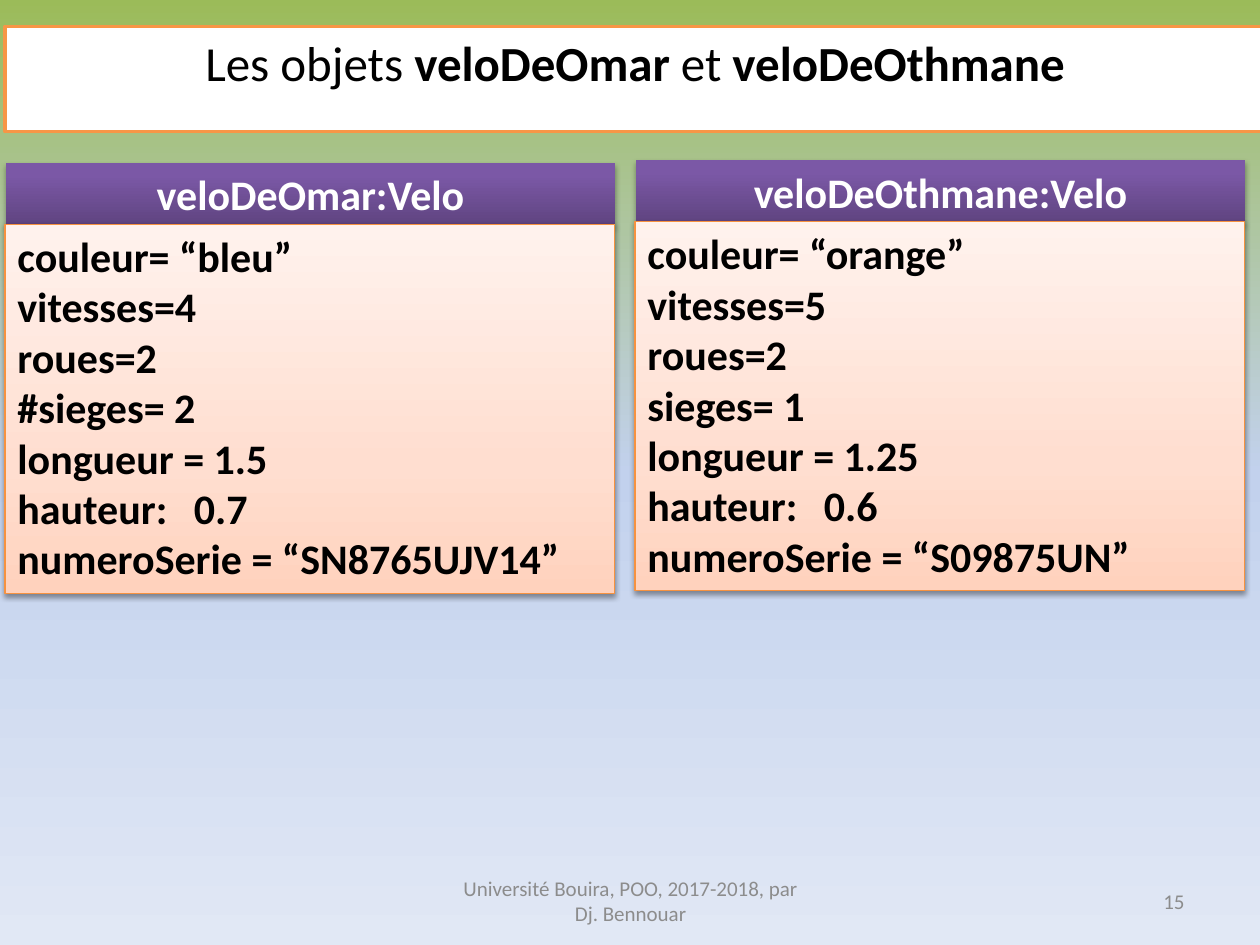
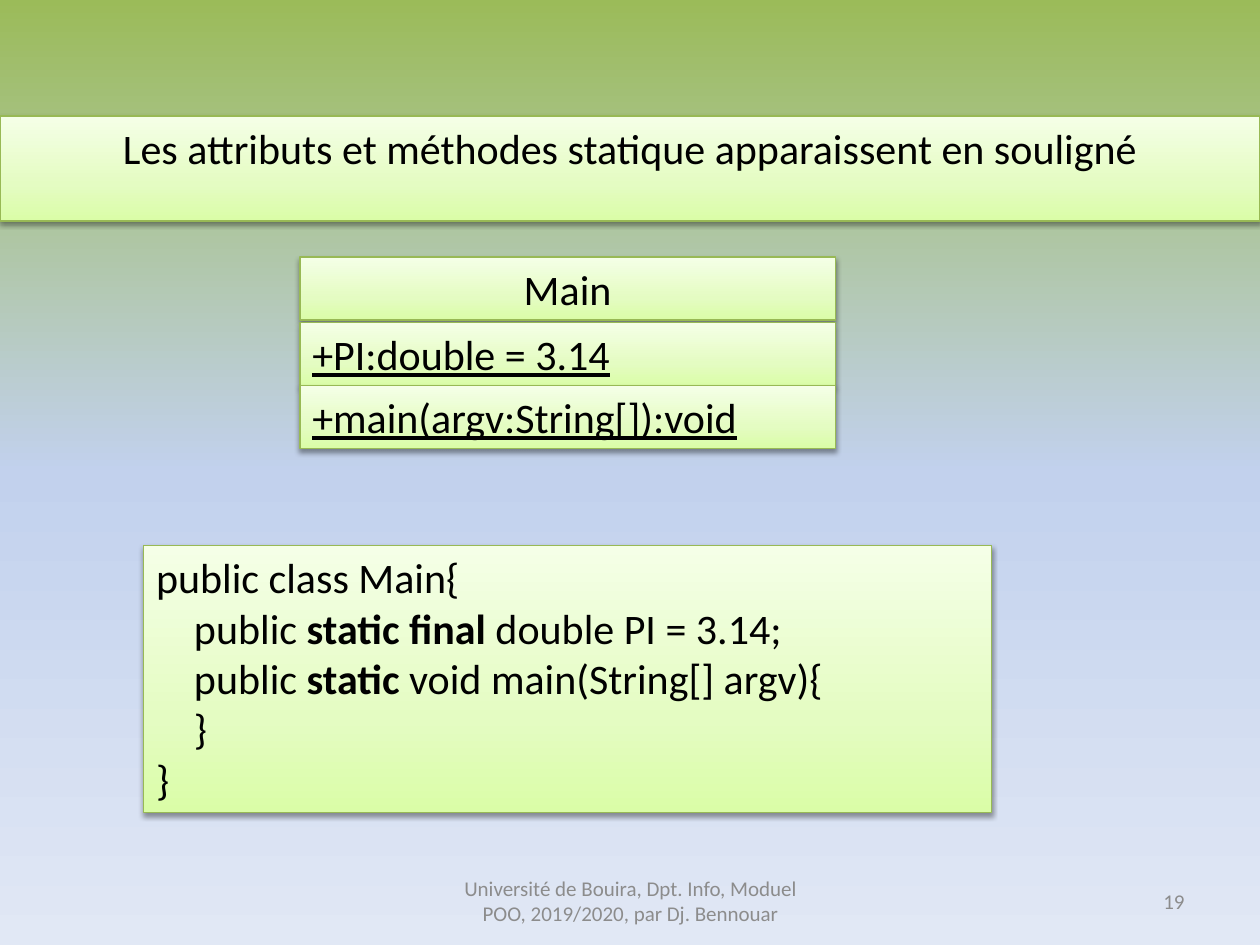
from dataclasses import dataclass
from typing import NamedTuple, Optional

from lxml.etree import SubElement
from pptx import Presentation
from pptx.dml.color import RGBColor
from pptx.enum.shapes import MSO_SHAPE as Shape
from pptx.enum.text import MSO_ANCHOR as Anchor, MSO_AUTO_SIZE as AutoSize, PP_ALIGN as Align
from pptx.oxml.ns import qn
from pptx.util import Inches, Pt

COLORS = {
    "black": "000000", "white": "FFFFFF", "footer": "8C8C8C",
    "title_line": "F79646", "orange_line": "F69240", "green_line": "98B955",
}
BACKGROUND = ((0, "9BBB59"), (50, "C2D1ED"), (100, "E1E8F5"))
PURPLE = ((0, "5F4480"), (80, "7B58A6"), (100, "7C57A8"))
PEACH = ((0, "FFD2BD"), (35, "FFDED0"), (100, "FFF2ED"))
LIME = ((0, "DAFDA7"), (35, "E4FCC2"), (100, "F5FFE7"))
DOWN, UP = 270, 90
FONT = "Calibri"
WIDTH, HEIGHT = Inches(10), Inches(7.5)
COL, ROW = WIDTH / 100, HEIGHT / 75


class Box(NamedTuple):
    """A place on the grid of 100 columns and 75 rows."""
    col: float
    row: float
    cols: float
    rows: float


class Shadow(NamedTuple):
    """A downward shadow with opacity in percent and lengths in points."""
    opacity: int
    blur: float
    distance: float


@dataclass(frozen=True)
class Look:
    """Fill, outline and shadow of a panel."""
    stops: tuple = ()
    line: Optional[str] = None
    line_width: float = 0.75
    shadow: Optional[Shadow] = Shadow(38, 3.1, 1.6)


@dataclass(frozen=True)
class Type:
    """Character and paragraph format of a text."""
    size: float = 24
    color: str = "black"
    align: Align = Align.LEFT
    bold: bool = False
    underline: bool = False


@dataclass(frozen=True)
class VeloObject:
    """An object diagram with its top left corner and attribute values."""
    col: float
    row: float
    name: str
    attributes: tuple


FRAMED = Look(line="title_line", line_width=2, shadow=None)
HEADER = Look(PURPLE, shadow=Shadow(35, 3.1, 1.8))
BODY = Look(PEACH, "orange_line")
GREEN = Look(LIME, "green_line")
CENTERED = Type(align=Align.CENTER)
TITLE = Type(28, align=Align.CENTER)
HEADER_TYPE = Type(color="white", align=Align.CENTER, bold=True)
BODY_TYPE = Type(bold=True)
STATIC = Type(underline=True)
FOOTER_TYPE = Type(12, "footer", Align.CENTER)
NUMBER_TYPE = Type(12, "footer", Align.RIGHT)
FOOTER, NUMBER = Box(34.2, 69.5, 31.7, 4), Box(71.7, 69.5, 23.3, 4)

VELOS = (
    VeloObject(0.4, 12.9, "veloDeOmar:Velo", (
        "couleur= “bleu”", "vitesses=4", "roues=2", "#sieges= 2",
        "longueur = 1.5", "hauteur:\t0.7", "numeroSerie = “SN8765UJV14”")),
    VeloObject(50.4, 12.7, "veloDeOthmane:Velo", (
        "couleur= “orange”", "vitesses=5", "roues=2", "sieges= 1",
        "longueur = 1.25", "hauteur:\t0.6", "numeroSerie = “S09875UN”")),
)
MAIN_CLASS = (
    (20.4, "Main", CENTERED),
    (25.6, "+PI:double = 3.14", STATIC),
    (30.6, "+main(argv:String[]):void", STATIC),
)
MAIN_CODE = (
    "public class Main{",
    "    public *static final* double PI = 3.14;",
    "    public *static *void main(String[] argv){",
    "    }",
    "}",
)


def rgb(name: str) -> RGBColor:
    """Return a named colour."""
    return RGBColor.from_string(COLORS[name])


def place(box: Box) -> tuple:
    """Turn a grid box into left, top, width and height."""
    return (int(box.col * COL), int(box.row * ROW), int(box.cols * COL), int(box.rows * ROW))


def paint(owner, fill, stops: tuple, angle: int) -> None:
    """Give a fill its gradient stops and angle."""
    fill.gradient()
    fill.gradient_angle = angle
    gs_list = owner.find(f".//{qn('a:gradFill')}/{qn('a:gsLst')}")
    gs_list.clear()
    for percent, color in stops:
        gs = SubElement(gs_list, qn("a:gs"), pos=str(percent * 1000))
        SubElement(gs, qn("a:srgbClr"), val=color)


def style(s, look: Look) -> None:
    """Apply a look to a shape."""
    if look.stops:
        paint(s.element, s.fill, look.stops, UP)
    else:
        s.fill.solid()
        s.fill.fore_color.rgb = rgb("white")
    if look.line:
        s.line.color.rgb = rgb(look.line)
        s.line.width = Pt(look.line_width)
    else:
        s.line.fill.background()
    s.shadow.inherit = False
    if look.shadow:
        effects = s.element.spPr.find(qn("a:effectLst"))
        outer = SubElement(effects, qn("a:outerShdw"), blurRad=str(Pt(look.shadow.blur)),
                           dist=str(Pt(look.shadow.distance)), dir="5400000", rotWithShape="0")
        color = SubElement(outer, qn("a:srgbClr"), val=COLORS["black"])
        SubElement(color, qn("a:alpha"), val=str(look.shadow.opacity * 1000))


def write(s, lines: tuple, kind: Type, anchor: Anchor = Anchor.TOP) -> None:
    """Write one paragraph a line, with asterisks around bold words."""
    tf = s.text_frame
    tf.word_wrap = True
    tf.vertical_anchor = anchor
    for i, line in enumerate(lines):
        p = tf.add_paragraph() if i else tf.paragraphs[0]
        p.alignment = kind.align
        if "\t" in line:
            tabs = SubElement(p._p.get_or_add_pPr(), qn("a:tabLst"))
            SubElement(tabs, qn("a:tab"), pos=str(int(14 * COL)), algn="l")
        p.font.name = FONT
        p.font.size = Pt(kind.size)
        p.font.color.rgb = rgb(kind.color)
        p.font.bold = kind.bold
        p.font.underline = kind.underline
        for j, words in enumerate(line.split("*")):
            if words:
                r = p.add_run()
                r.text = words
                if j % 2:
                    r.font.bold = True


def fill_panel(s, lines: tuple, look: Look, kind: Type) -> None:
    """Style a shape and write text that it grows with."""
    style(s, look)
    write(s, lines, kind)
    s.text_frame.auto_size = AutoSize.SHAPE_TO_FIT_TEXT


def add_panel(shapes, box: Box, lines: tuple, look: Look, kind: Type) -> None:
    """Add a rectangle with text."""
    s = shapes.add_shape(Shape.RECTANGLE, *place(box))
    fill_panel(s, lines, look, kind)


def add_note(slide, box: Box, text: str, kind: Type) -> None:
    """Add a footer text."""
    s = slide.shapes.add_textbox(*place(box))
    s.text_frame.margin_left = s.text_frame.margin_right = (
        int(2 * COL) if kind.align == Align.CENTER else int(COL))
    write(s, (text,), kind, Anchor.MIDDLE)


def add_slide(prs, title: str, box: Box, look: Look, kind: Type, footer: str, number: str):
    """Add a slide with its title band, footer and number."""
    slide = prs.slides.add_slide(prs.slide_layouts[5])
    s = slide.shapes.title
    s.left, s.top, s.width, s.height = place(box)
    fill_panel(s, (title,), look, kind)
    add_note(slide, FOOTER, footer, FOOTER_TYPE)
    add_note(slide, NUMBER, number, NUMBER_TYPE)
    return slide


def add_velo(slide, velo: VeloObject) -> None:
    """Add an object diagram as a group of header and body."""
    shapes = slide.shapes.add_group_shape().shapes
    add_panel(shapes, Box(velo.col + 0.1, velo.row, 48.3, 5), (velo.name,), HEADER, HEADER_TYPE)
    add_panel(shapes, Box(velo.col, velo.row + 4.9, 48.4, 29.3), velo.attributes, BODY, BODY_TYPE)


def build_objects(prs) -> None:
    """Build the slide of the two objects."""
    slide = add_slide(prs, "Les objets *veloDeOmar *et *veloDeOthmane*", Box(0.4, 2.1, 100, 5.7),
                      FRAMED, TITLE, "Université Bouira, POO, 2017-2018, par Dj. Bennouar", "15")
    for velo in VELOS:
        add_velo(slide, velo)


def build_static(prs) -> None:
    """Build the slide of the static members."""
    slide = add_slide(prs, "Les attributs et méthodes statique apparaissent en souligné",
                      Box(0, 9.2, 100, 5), GREEN, CENTERED,
                      "Université de Bouira, Dpt. Info, Moduel POO, 2019/2020, par Dj. Bennouar", "19")
    shapes = slide.shapes.add_group_shape().shapes
    for row, text, kind in MAIN_CLASS:
        add_panel(shapes, Box(23.8, row, 42.5, 5), (text,), GREEN, kind)
    add_panel(slide.shapes, Box(11.4, 43.3, 67.3, 21.2), MAIN_CODE, GREEN, Type())


def main() -> None:
    """Build and save the presentation."""
    prs = Presentation()
    prs.slide_width, prs.slide_height = WIDTH, HEIGHT
    master = prs.slide_master
    paint(master.element, master.background.fill, BACKGROUND, DOWN)
    build_objects(prs)
    build_static(prs)
    prs.save("out.pptx")


if __name__ == "__main__":
    main()
